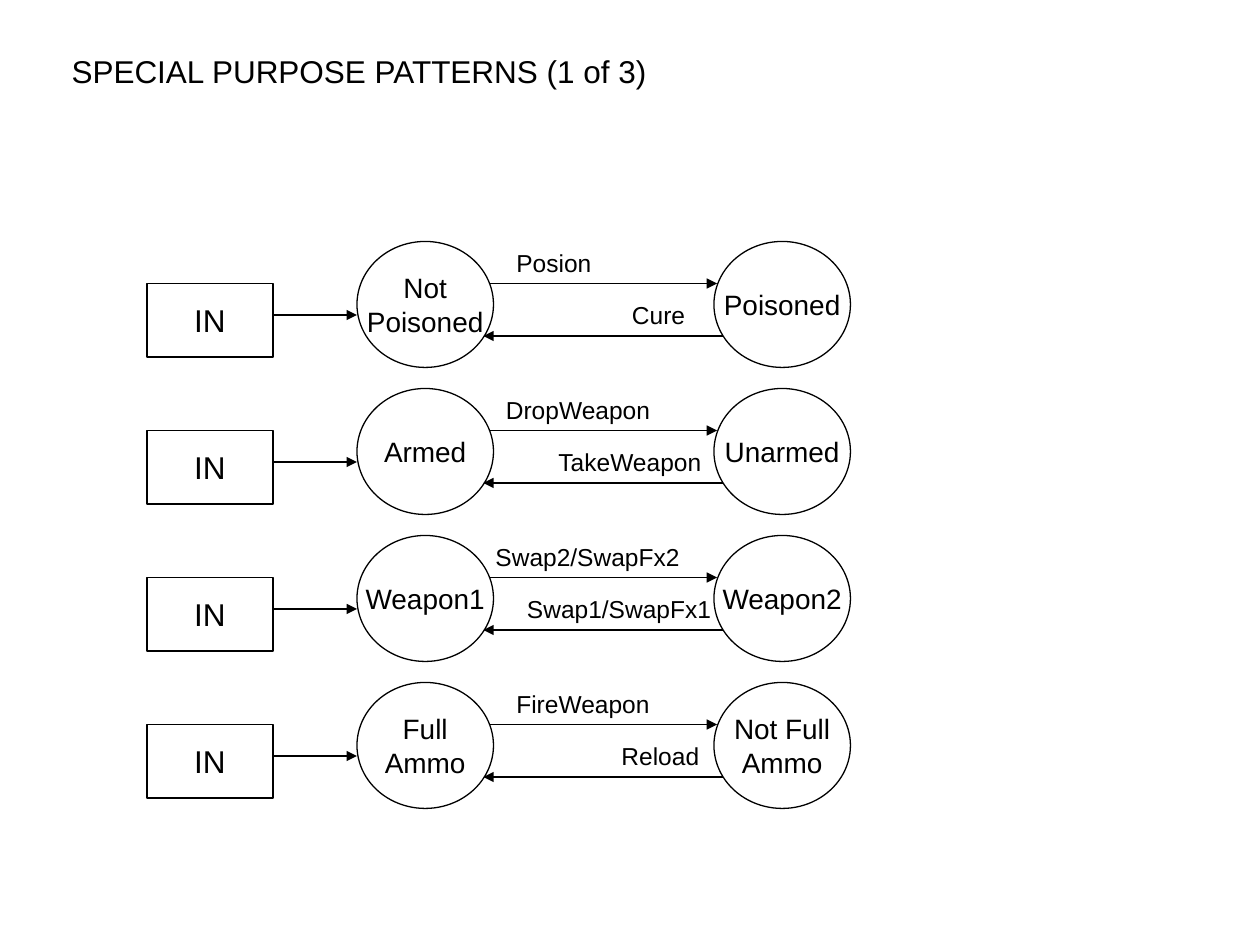
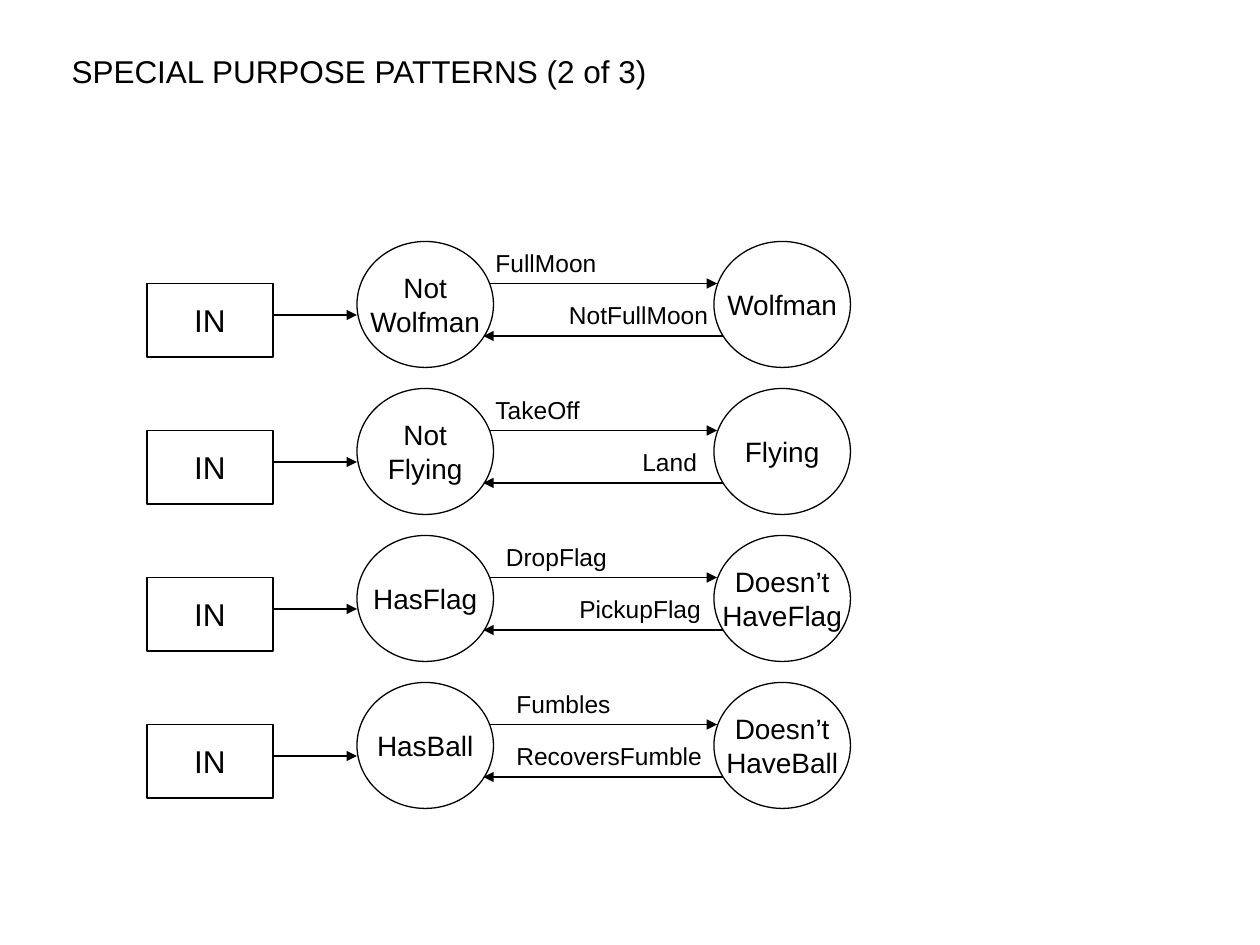
from dataclasses import dataclass

from lxml import etree
from pptx import Presentation
from pptx.dml.color import RGBColor
from pptx.enum.shapes import MSO_CONNECTOR, MSO_SHAPE
from pptx.enum.text import MSO_ANCHOR, MSO_AUTO_SIZE, PP_ALIGN
from pptx.oxml.ns import qn
from pptx.util import Pt

STRAIGHT = MSO_CONNECTOR.STRAIGHT
OVAL, RECTANGLE = MSO_SHAPE.OVAL, MSO_SHAPE.RECTANGLE
LEFT, CENTER = PP_ALIGN.LEFT, PP_ALIGN.CENTER
TOP, MIDDLE = MSO_ANCHOR.TOP, MSO_ANCHOR.MIDDLE
GROW = MSO_AUTO_SIZE.SHAPE_TO_FIT_TEXT

COLORS = {"ink": "000000"}
FONT = "Arial"
LINE_WIDTH = 0.75
PATTERN_LEFT, PATTERN_TOP, PATTERN_PITCH = 84, 138, 84


@dataclass
class Transition:
    text: str
    x: float
    width: float
    wrap: bool = False


@dataclass
class Pattern:
    start: str
    end: str
    forward: Transition
    back: Transition


SLIDES = {
    "SPECIAL PURPOSE PATTERNS (1 of 3)": [
        Pattern("Not\nPoisoned", "Poisoned",
                Transition("Posion", 204, 59), Transition("Cure", 270, 46)),
        Pattern("Armed", "Unarmed",
                Transition("DropWeapon", 198, 99), Transition("TakeWeapon", 228, 99)),
        Pattern("Weapon1", "Weapon2",
                Transition("Swap2/SwapFx2", 192, 121), Transition("Swap1/SwapFx1", 210, 121)),
        Pattern("Full\nAmmo", "Not Full\nAmmo",
                Transition("FireWeapon", 204, 92), Transition("Reload", 264, 60)),
    ],
    "SPECIAL PURPOSE PATTERNS (2 of 3)": [
        Pattern("Not\nWolfman", "Wolfman",
                Transition("FullMoon", 192, 74), Transition("NotFullMoon", 234, 96)),
        Pattern("Not\nFlying", "Flying",
                Transition("TakeOff", 192, 65), Transition("Land", 276, 47)),
        Pattern("HasFlag", "Doesn’t\nHaveFlag",
                Transition("DropFlag", 198, 74), Transition("PickupFlag", 240, 96, wrap=True)),
        Pattern("HasBall", "Doesn’t\nHaveBall",
                Transition("Fumbles", 204, 70), Transition("RecoversFumble", 204, 122)),
    ],
}


def ink():
    return RGBColor.from_string(COLORS["ink"])


def write_text(frame, text, size, align=LEFT, anchor=TOP, wrap=False):
    frame.word_wrap = wrap
    frame.vertical_anchor = anchor
    frame.text = text
    for paragraph in frame.paragraphs:
        paragraph.alignment = align
        for run in paragraph.runs:
            run.font.name = FONT
            run.font.size = Pt(size)
            run.font.color.rgb = ink()


def add_label(slide, text, left, top, width, height, size, wrap=False):
    label = slide.shapes.add_textbox(Pt(left), Pt(top), Pt(width), Pt(height))
    write_text(label.text_frame, text, size, wrap=wrap)
    label.text_frame.auto_size = GROW


def add_node(slide, kind, text, left, top, width, height, size):
    node = slide.shapes.add_shape(kind, Pt(left), Pt(top), Pt(width), Pt(height))
    node.shadow.inherit = False
    node.fill.background()
    node.line.color.rgb = ink()
    node.line.width = Pt(LINE_WIDTH)
    write_text(node.text_frame, text, size, align=CENTER, anchor=MIDDLE)


def add_arrow(slide, start_x, end_x, y):
    arrow = slide.shapes.add_connector(STRAIGHT, Pt(start_x), Pt(y), Pt(end_x), Pt(y))
    arrow.line.color.rgb = ink()
    arrow.line.width = Pt(LINE_WIDTH)
    properties = arrow._element.spPr
    etree.SubElement(properties.find(qn("a:ln")), qn("a:tailEnd"), type="triangle")
    etree.SubElement(properties, qn("a:effectLst"))


def add_pattern(slide, pattern, left, top):
    add_node(slide, OVAL, pattern.start, left + 120, top, 78, 72, 16)
    add_node(slide, OVAL, pattern.end, left + 324, top, 78, 72, 16)
    add_arrow(slide, left + 196, left + 325.8, top + 24)
    add_arrow(slide, left + 329.2, left + 192.2, top + 54)
    for transition, y in ((pattern.forward, top), (pattern.back, top + 30)):
        add_label(slide, transition.text, left + transition.x, y,
                  transition.width, 24.4, 14, wrap=transition.wrap)
    add_node(slide, RECTANGLE, "IN", left, top + 24, 72, 42, 18)
    add_arrow(slide, left + 72, left + 120, top + 42)


def add_pattern_slide(deck, title, patterns):
    slide = deck.slides.add_slide(deck.slide_layouts[6])
    add_label(slide, title, 33.8, 26, 348, 28.8, 18)
    for row, pattern in enumerate(patterns):
        add_pattern(slide, pattern, PATTERN_LEFT, PATTERN_TOP + row * PATTERN_PITCH)


def main():
    deck = Presentation()
    deck.slide_width, deck.slide_height = Pt(720), Pt(540)
    for title, patterns in SLIDES.items():
        add_pattern_slide(deck, title, patterns)
    deck.save("out.pptx")


if __name__ == "__main__":
    main()
